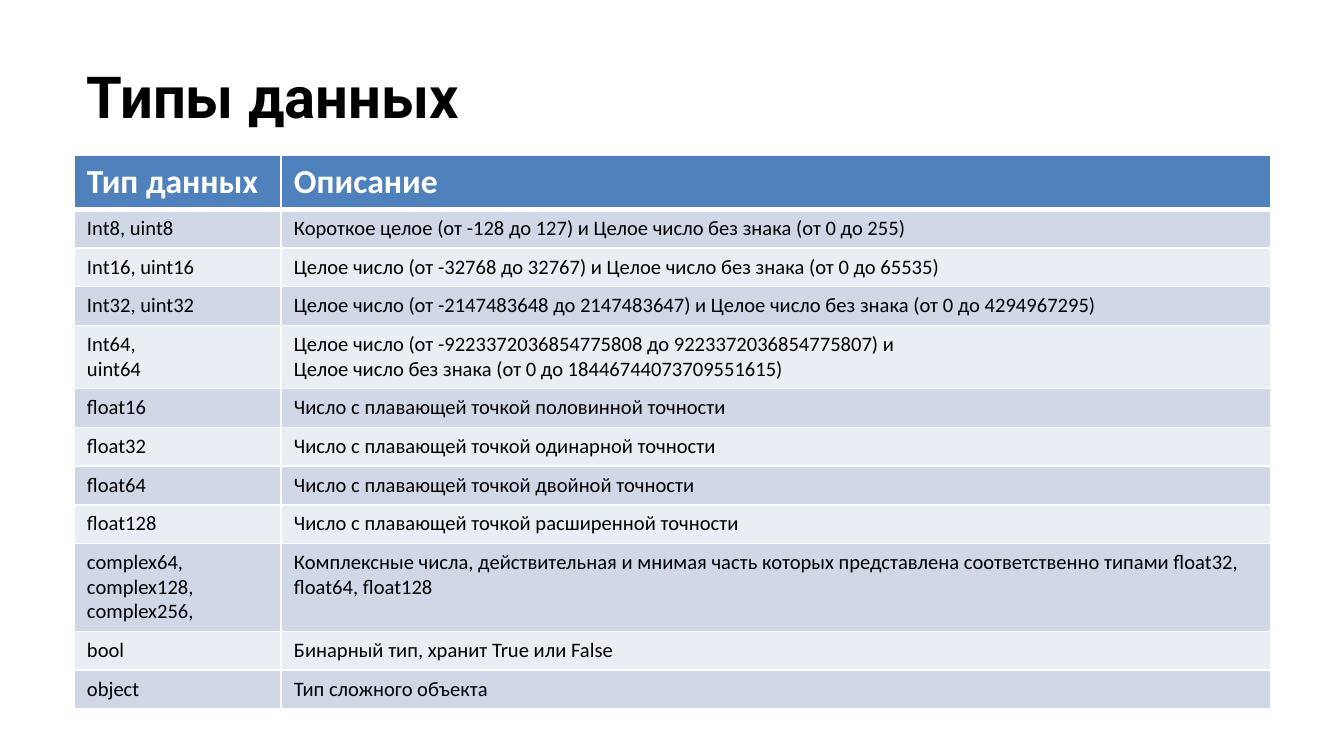
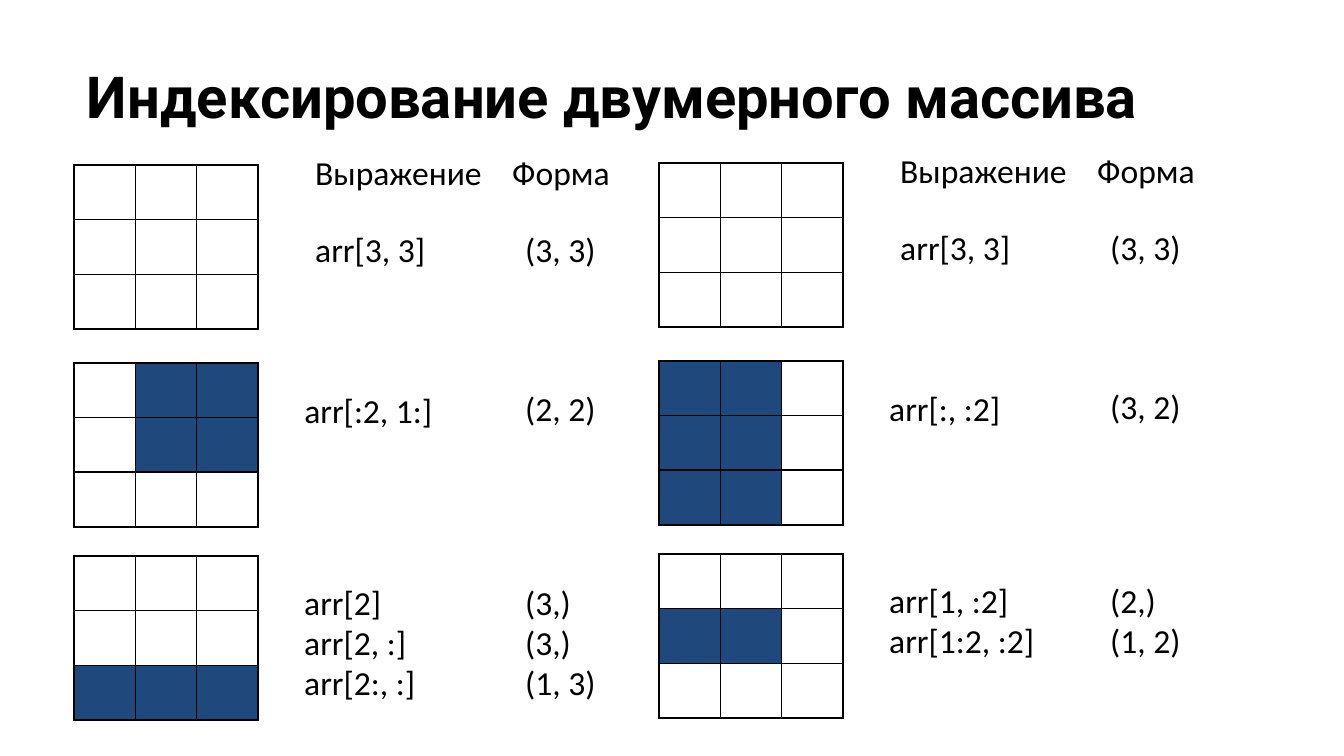
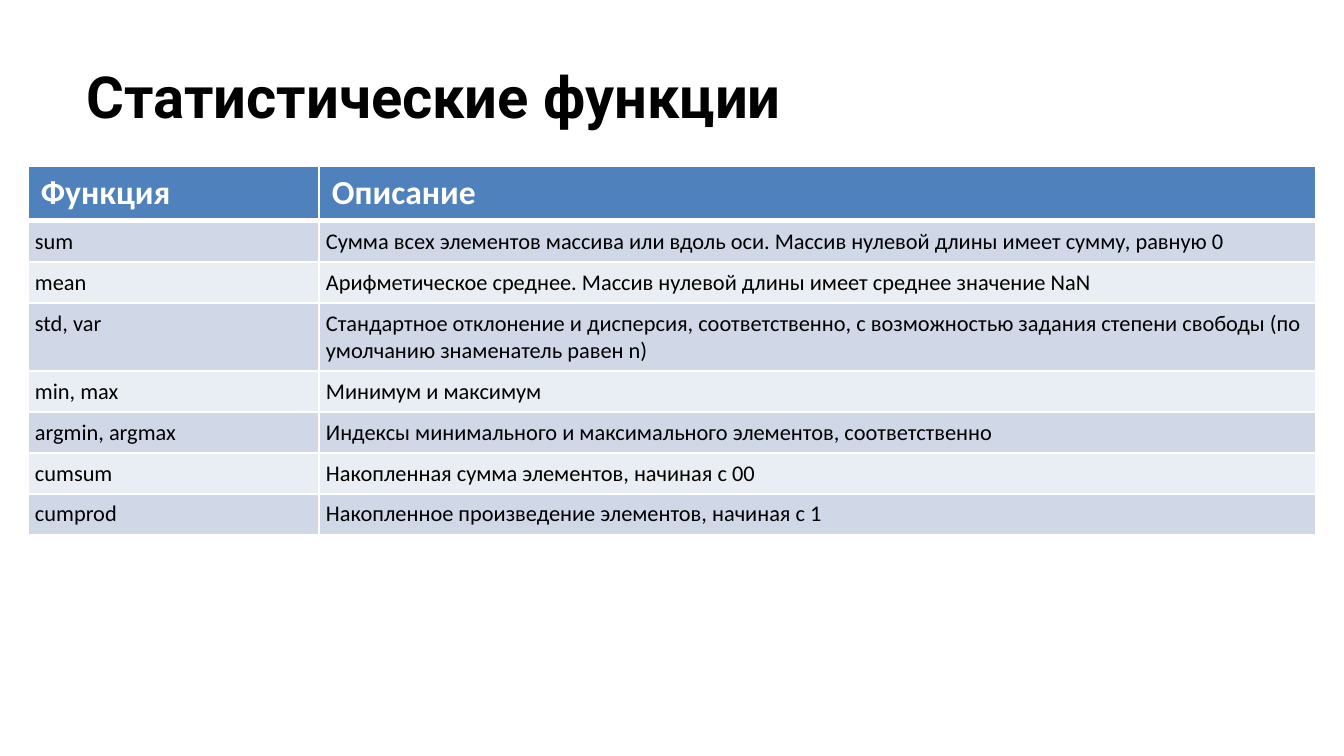
"""Build three slides on array types, indexing and statistics."""
from dataclasses import dataclass

from lxml.etree import SubElement
from pptx import Presentation
from pptx.dml.color import RGBColor as Rgb
from pptx.enum.text import MSO_ANCHOR as Anchor, MSO_AUTO_SIZE as AutoSize
from pptx.oxml.ns import qn
from pptx.util import Emu, Pt

EMU_PER_PX = 914400 / 134.4
GRID_SIZE = 3
ALL = slice(None)
NONE = slice(0, 0)


@dataclass(frozen=True)
class Theme:
    """Colours, fonts and type sizes of the deck."""
    ink: Rgb = Rgb(0, 0, 0)
    paper: Rgb = Rgb(255, 255, 255)
    header: Rgb = Rgb.from_string("4F81BD")
    bands: tuple = (Rgb.from_string("D0D8E8"), Rgb.from_string("E9EDF4"))
    selected: Rgb = Rgb.from_string("1F497D")
    title_font: str = "Roboto"
    body_font: str = "Calibri"
    title_size: int = 31
    body_size: int = 18


THEME = Theme()


@dataclass(frozen=True)
class DataTable:
    """A two-column table with a header and banded rows."""
    left: int
    top: int
    widths: tuple
    heights: tuple
    rows: tuple
    size: int
    inset: tuple
    leading: float | None = None


@dataclass(frozen=True)
class Label:
    """A line or lines of text beside a grid."""
    left: int
    top: int
    width: int
    text: str


@dataclass(frozen=True)
class Grid:
    """An array drawing with the selected rows and columns."""
    top: int
    rows: slice
    columns: slice
    labels: tuple


@dataclass(frozen=True)
class Panel:
    """A column of grids, placed by its offset."""
    dx: int
    dy: int
    grids: tuple


TYPES = DataTable(
    74, 155, (207, 990), (54, 38, 38, 38, 63, 38, 38, 38, 38, 87, 38, 38),
    (
        ("Тип данных", "Описание"),
        ("Int8, uint8", "Короткое целое (от -128 до 127) и Целое число без знака (от 0 до 255)"),
        ("Int16, uint16", "Целое число (от -32768 до 32767) и Целое число без знака (от 0 до 65535)"),
        ("Int32, uint32", "Целое число (от -2147483648 до 2147483647) и Целое число без знака (от 0 до 4294967295)"),
        ("Int64, \vuint64", "Целое число (от -9223372036854775808 до 9223372036854775807) и \v"
                            "Целое число без знака (от 0 до 18446744073709551615)"),
        ("float16", "Число с плавающей точкой половинной точности"),
        ("float32", "Число с плавающей точкой одинарной точности"),
        ("float64", "Число с плавающей точкой двойной точности"),
        ("float128", "Число с плавающей точкой расширенной точности"),
        ("complex64, complex128,\ncomplex256,",
         "Комплексные числа, действительная и мнимая часть которых представлена "
         "соответственно типами float32, float64, float128"),
        ("bool", "Бинарный тип, хранит True или False"),
        ("object", "Тип сложного объекта"),
    ),
    11, (13, 7), 13.2)

STATISTICS = DataTable(
    28, 166, (291, 997), (55, 41, 41, 68, 41, 41, 41, 41),
    (
        ("Функция", "Описание"),
        ("sum", "Сумма всех элементов массива или вдоль оси. Массив нулевой длины имеет сумму, равную 0"),
        ("mean", "Арифметическое среднее. Массив нулевой длины имеет среднее значение NaN"),
        ("std, var", "Стандартное отклонение и дисперсия, соответственно, с возможностью "
                     "задания степени свободы (по умолчанию знаменатель равен n)"),
        ("min, max", "Минимум и максимум"),
        ("argmin, argmax", "Индексы минимального и максимального элементов, соответственно"),
        ("cumsum", "Накопленная сумма элементов, начиная с 00"),
        ("cumprod", "Накопленное произведение элементов, начиная с 1"),
    ),
    12, (7, 7))

WHOLE_ARRAY = Grid(165, NONE, NONE, (
    Label(302, 145, 196, "Выражение"), Label(499, 145, 125, "Форма"),
    Label(302, 222, 141, "arr[3, 3]"), Label(512, 222, 98, "(3, 3)")))

PANELS = (
    Panel(0, 0, (
        WHOLE_ARRAY,
        Grid(363, slice(2), slice(1, None), (
            Label(291, 383, 157, "arr[:2, 1:]"), Label(512, 381, 98, "(2, 2)"))),
        Grid(556, slice(2, None), ALL, (
            Label(291, 575, 140, "arr[2]\narr[2, :]\narr[2:, :]"),
            Label(512, 575, 98, "(3,)\n(3,)\n(1, 3)"))))),
    Panel(585, -2, (
        WHOLE_ARRAY,
        Grid(363, ALL, slice(2), (
            Label(291, 383, 140, "arr[:, :2]"), Label(512, 381, 98, "(3, 2)"))),
        Grid(556, slice(1, 2), slice(2), (
            Label(291, 575, 174, "arr[1, :2]\narr[1:2, :2]"),
            Label(512, 575, 98, "(2,)\n(1, 2)"))))),
)


def px(length: float) -> Emu:
    """Turn pixels into EMU."""
    return Emu(round(length * EMU_PER_PX))


def style_text(frame, font: str, size: int, color: Rgb, bold: bool = False) -> None:
    """Format every run of a text frame."""
    for para in frame.paragraphs:
        for span in para.runs:
            span.font.name = font
            span.font.size = Pt(size)
            span.font.bold = bold
            span.font.color.rgb = color


def set_borders(cell, color: Rgb, top: int = 1, bottom: int = 1) -> None:
    """Draw the four borders of a cell, with widths in points."""
    properties = cell._tc.get_or_add_tcPr()
    for side, width in (("L", 1), ("R", 1), ("T", top), ("B", bottom)):
        line = SubElement(properties, qn(f"a:ln{side}"), w=str(Pt(width)))
        fill = SubElement(line, qn("a:solidFill"))
        SubElement(fill, qn("a:srgbClr"), val=str(color))


def add_plain_table(page, left: int, top: int, widths: tuple, heights: tuple):
    """Add a table without style bands, sized by its columns and rows."""
    table = page.shapes.add_table(len(heights), len(widths), px(left), px(top),
                                  px(sum(widths)), px(sum(heights))).table
    table.first_row = table.horz_banding = False
    for column, width in zip(table.columns, widths):
        column.width = px(width)
    for row, height in zip(table.rows, heights):
        row.height = px(height)
    return table


def add_data_table(page, data: DataTable) -> None:
    """Draw a banded table with its header."""
    table = add_plain_table(page, data.left, data.top, data.widths, data.heights)
    for row, texts in enumerate(data.rows):
        header = row == 0
        for column, text in enumerate(texts):
            cell = table.cell(row, column)
            set_borders(cell, THEME.paper, 3 if row == 1 else 1, 3 if header else 1)
            cell.fill.solid()
            cell.fill.fore_color.rgb = THEME.header if header else THEME.bands[(row - 1) % 2]
            across, down = (13, 7) if header else data.inset
            cell.margin_left = cell.margin_right = px(across)
            cell.margin_top = cell.margin_bottom = px(down)
            cell.text_frame.text = text
            style_text(cell.text_frame, THEME.body_font,
                       THEME.body_size if header else data.size,
                       THEME.paper if header else THEME.ink, header)
            if data.leading and not header:
                for para in cell.text_frame.paragraphs:
                    para.line_spacing = Pt(data.leading)


def add_label(page, label: Label, dx: int, dy: int) -> None:
    """Write a label that grows with its text."""
    lines = label.text.count("\n") + 1
    box = page.shapes.add_textbox(px(label.left + dx), px(label.top + dy),
                                  px(label.width), px(13 + 41 * lines))
    frame = box.text_frame
    frame.word_wrap = False
    frame.auto_size = AutoSize.SHAPE_TO_FIT_TEXT
    frame.text = label.text
    style_text(frame, THEME.body_font, THEME.body_size, THEME.ink)


def add_grid(page, grid: Grid, dx: int, dy: int) -> None:
    """Draw an array with its selection and labels."""
    table = add_plain_table(page, 74 + dx, grid.top + dy,
                            (184 / GRID_SIZE,) * GRID_SIZE, (164 / GRID_SIZE,) * GRID_SIZE)
    for row in range(GRID_SIZE):
        for column in range(GRID_SIZE):
            cell = table.cell(row, column)
            set_borders(cell, THEME.ink)
            if row in range(GRID_SIZE)[grid.rows] and column in range(GRID_SIZE)[grid.columns]:
                cell.fill.solid()
                cell.fill.fore_color.rgb = THEME.selected
            else:
                cell.fill.background()
    for label in grid.labels:
        add_label(page, label, dx, dy)


def add_page(deck, title: str):
    """Add a blank slide with the shared title."""
    page = deck.slides.add_slide(deck.slide_layouts[6])
    box = page.shapes.add_textbox(px(74), px(48), px(1253), px(161))
    frame = box.text_frame
    frame.word_wrap = True
    frame.vertical_anchor = Anchor.TOP
    frame.margin_left = frame.margin_right = px(13)
    frame.margin_top = frame.margin_bottom = px(13)
    frame.text = title
    style_text(frame, THEME.title_font, THEME.title_size, THEME.ink, True)
    return page


def main() -> None:
    """Build and save the deck."""
    deck = Presentation()
    deck.slide_width, deck.slide_height = px(1344), px(756)
    add_data_table(add_page(deck, "Типы данных"), TYPES)
    page = add_page(deck, "Индексирование двумерного массива")
    for panel in PANELS:
        for grid in panel.grids:
            add_grid(page, grid, panel.dx, panel.dy)
    add_data_table(add_page(deck, "Статистические функции"), STATISTICS)
    deck.save("out.pptx")


if __name__ == "__main__":
    main()
